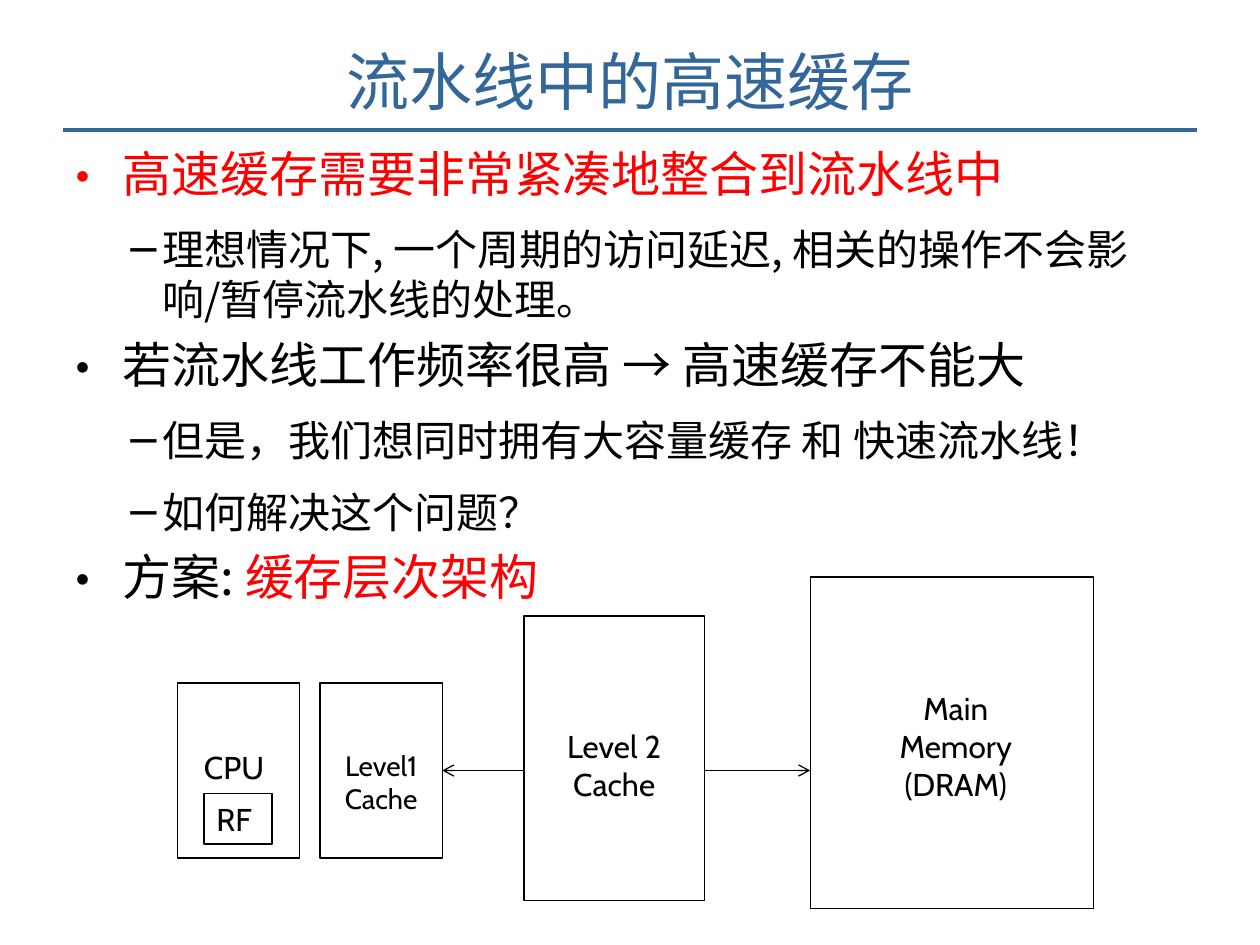
from dataclasses import dataclass

from lxml import etree
from pptx import Presentation
from pptx.dml.color import RGBColor
from pptx.enum import shapes, text
from pptx.oxml.ns import qn
from pptx import util as u

BLUE = RGBColor(0x33, 0x66, 0x99)
RED = RGBColor(0xFF, 0x00, 0x00)
BLACK = RGBColor(0x00, 0x00, 0x00)
WHITE = RGBColor(0xFF, 0xFF, 0xFF)
CHINESE = "Noto Sans CJK SC"
LATIN = "Cabin"
COLUMNS, ROWS = 100, 75
WIDTH, HEIGHT = u.Inches(10), u.Inches(7.5)


@dataclass
class Area:
    left: float
    top: float
    width: float
    height: float

    def emu(self) -> tuple[int, int, int, int]:
        return col(self.left), row(self.top), col(self.width), row(self.height)


@dataclass
class Label:
    words: str
    area: Area
    size: int = 18
    align: text.PP_ALIGN = text.PP_ALIGN.CENTER


@dataclass
class Level:
    mark: str
    size: int
    margin: float
    hanging: float
    before: int


@dataclass
class Point:
    level: int
    pieces: list[tuple[str, RGBColor]]


LEVELS = [Level("•", 28, 3.75, 3.75, 0), Level("−", 24, 6.9, 2.9, 6)]
POINTS = [
    Point(0, [("高速缓存需要非常紧凑地整合到流水线中", RED)]),
    Point(1, [("理想情况下, 一个周期的访问延迟, 相关的操作不会影响/暂停流水线的处理。", BLACK)]),
    Point(0, [("若流水线工作频率很高 → 高速缓存不能大", BLACK)]),
    Point(1, [("但是，我们想同时拥有大容量缓存 和 快速流水线！", BLACK)]),
    Point(1, [("如何解决这个问题？", BLACK)]),
    Point(0, [("方案: ", BLACK), ("缓存层次架构", RED)]),
]
CPU = Area(14.1, 54.2, 9.7, 13.9)
LEVEL_1 = Area(25.4, 54.2, 9.7, 13.9)
LEVEL_2 = Area(41.6, 48.9, 14.3, 22.6)
MEMORY = Area(64.3, 45.8, 22.5, 26.3)
REGISTERS = Label("RF", Area(16.2, 63, 5.4, 4), align=text.PP_ALIGN.LEFT)
LABELS = [
    Label("CPU", Area(15.2, 58.9, 7.3, 4), align=text.PP_ALIGN.LEFT),
    Label("Main\nMemory\n(DRAM)", Area(67.4, 54.2, 16.9, 10.1)),
    Label("Level1\nCache", Area(25.4, 58.9, 9.7, 6.4), size=16),
    Label("Level 2\nCache", Area(41.6, 57.2, 14.3, 7.1)),
]


def col(count: float) -> int:
    return round(WIDTH * count / COLUMNS)


def row(count: float) -> int:
    return round(HEIGHT * count / ROWS)


def style(run, face: str, size: int, color: RGBColor) -> None:
    run.font.name, run.font.size = face, u.Pt(size)
    run.font.color.rgb = color
    etree.SubElement(run.font._element, qn("a:ea"), typeface=face)


def add_frame(slide, area: Area):
    frame = slide.shapes.add_textbox(*area.emu()).text_frame
    frame.word_wrap = True
    return frame


def write_label(frame, label: Label) -> None:
    frame.word_wrap = True
    frame.vertical_anchor = text.MSO_ANCHOR.TOP
    frame.text = label.words
    for paragraph in frame.paragraphs:
        paragraph.alignment = label.align
        style(paragraph.runs[0], LATIN, label.size, BLACK)


def add_block(slide, area: Area, filled: bool = False):
    block = slide.shapes.add_shape(shapes.MSO_SHAPE.RECTANGLE, *area.emu())
    block.shadow.inherit = False
    if filled:
        block.fill.solid()
        block.fill.fore_color.rgb = WHITE
    else:
        block.fill.background()
    block.line.color.rgb, block.line.width = BLACK, u.Pt(0.75)
    return block


def add_line(slide, start: float, end: float, height: float, color: RGBColor, weight: float):
    line = slide.shapes.add_connector(
        shapes.MSO_CONNECTOR.STRAIGHT, col(start), row(height), col(end), row(height))
    line.line.color.rgb, line.line.width = color, u.Pt(weight)
    etree.SubElement(line._element.spPr, qn("a:effectLst"))
    return line


def add_title(slide) -> None:
    frame = add_frame(slide, Area(5, 1.3, 90, 10.1))
    frame.vertical_anchor = text.MSO_ANCHOR.MIDDLE
    frame.text = "流水线中的高速缓存"
    title = frame.paragraphs[0]
    title.alignment = text.PP_ALIGN.CENTER
    style(title.runs[0], CHINESE, 36, BLUE)


def add_points(slide) -> None:
    frame = add_frame(slide, Area(5, 10.9, 90, 39.1))
    for index, point in enumerate(POINTS):
        paragraph = frame.add_paragraph() if index else frame.paragraphs[0]
        level = LEVELS[point.level]
        paragraph.level = point.level
        paragraph.space_before, paragraph.space_after = u.Pt(level.before), u.Pt(6)
        properties = paragraph._p.get_or_add_pPr()
        properties.set("marL", str(col(level.margin)))
        properties.set("indent", str(-col(level.hanging)))
        etree.SubElement(properties, qn("a:buFont"), typeface=LATIN)
        etree.SubElement(properties, qn("a:buChar"), char=level.mark)
        for words, color in point.pieces:
            run = paragraph.add_run()
            run.text = words
            style(run, CHINESE, level.size, color)


def add_hierarchy(slide) -> None:
    add_block(slide, CPU)
    add_block(slide, MEMORY)
    level_1 = add_block(slide, LEVEL_1)
    middle = LEVEL_1.top + LEVEL_1.height / 2
    link = add_line(slide, MEMORY.left, LEVEL_1.left + LEVEL_1.width, middle, BLACK, 0.75)
    link.end_connect(level_1, 3)
    for end in ("a:headEnd", "a:tailEnd"):
        etree.SubElement(link.line._get_or_add_ln(), qn(end), type="arrow")
    add_block(slide, LEVEL_2, filled=True)
    write_label(add_block(slide, REGISTERS.area).text_frame, REGISTERS)
    for label in LABELS:
        write_label(add_frame(slide, label.area), label)


def main() -> None:
    """Build the slide on caches in the pipeline."""
    deck = Presentation()
    deck.slide_width, deck.slide_height = WIDTH, HEIGHT
    slide = deck.slides.add_slide(deck.slide_layouts[6])
    add_line(slide, 5, 95, 10.3, BLUE, 2)
    add_title(slide)
    add_points(slide)
    add_hierarchy(slide)
    deck.save("out.pptx")


if __name__ == "__main__":
    main()
